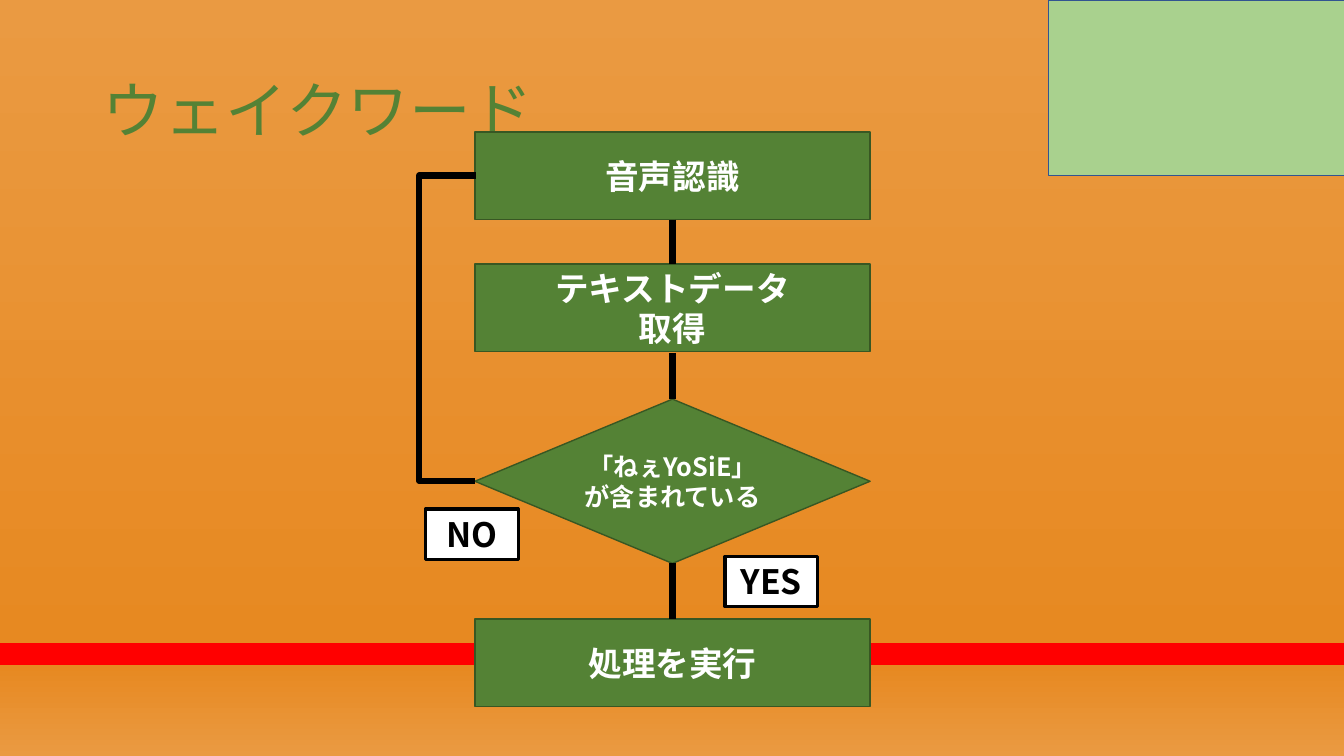
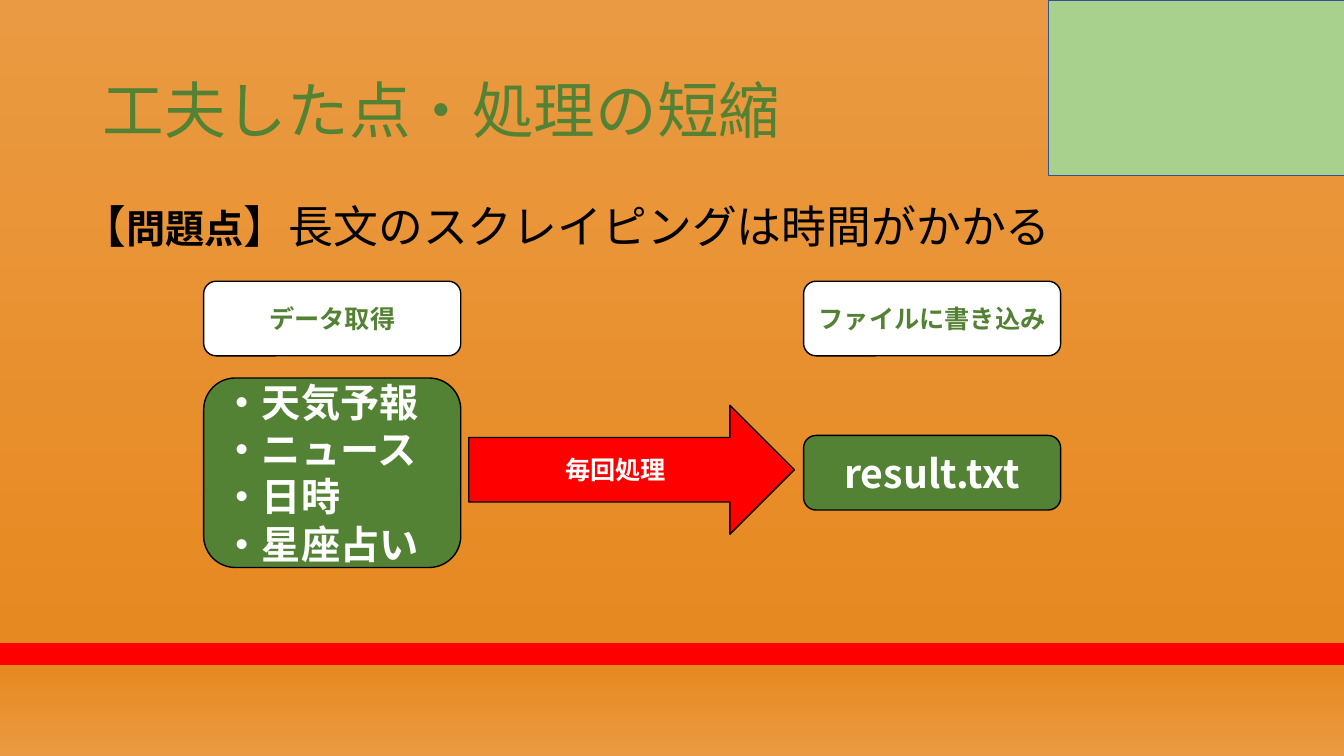
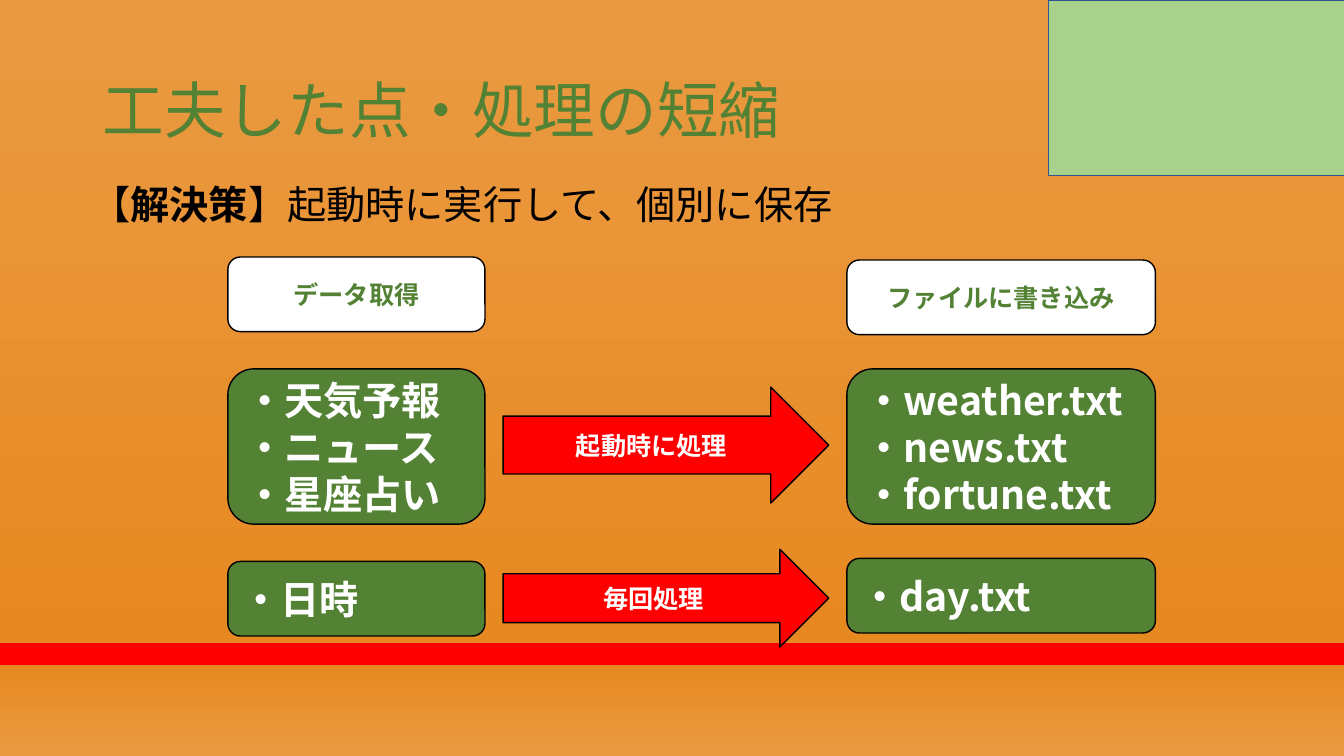
from dataclasses import dataclass
from typing import Optional

from lxml import etree
from pptx import Presentation
from pptx.dml.color import RGBColor
from pptx.enum.shapes import MSO_CONNECTOR, MSO_SHAPE
from pptx.enum.text import MSO_ANCHOR, MSO_AUTO_SIZE, PP_ALIGN
from pptx.oxml.ns import qn
from pptx.util import Inches, Pt

RECT, ROUND = MSO_SHAPE.RECTANGLE, MSO_SHAPE.ROUNDED_RECTANGLE
STEP, TEST = MSO_SHAPE.FLOWCHART_PROCESS, MSO_SHAPE.FLOWCHART_DECISION
ARROW = MSO_SHAPE.RIGHT_ARROW
LINE, ELBOW = MSO_CONNECTOR.STRAIGHT, MSO_CONNECTOR.ELBOW
LEFT, MID = PP_ALIGN.LEFT, PP_ALIGN.CENTER
TOP, CENTER = MSO_ANCHOR.TOP, MSO_ANCHOR.MIDDLE
GROW = MSO_AUTO_SIZE.SHAPE_TO_FIT_TEXT

FONT = "Noto Sans CJK JP"
HEX = {
    "green": "548235", "dark": "385723", "pale": "A9D18E", "blue": "325491",
    "red": "FF0000", "white": "FFFFFF", "black": "000000",
    "light": "EA9A42", "deep": "E78921",
}
# Backdrop stops: percent down the page, colour
STOPS = [(0, "light"), (85, "deep"), (85, "red"), (88, "red"), (88, "deep"), (100, "light")]


@dataclass(frozen=True)
class Look:
    kind: int
    fill: str
    edge: str
    ink: str = "white"
    size: int = 18
    weight: float = 1
    align: int = MID
    grow: bool = False


@dataclass(frozen=True)
class Box:
    look: Look
    x: float
    y: float
    w: float
    h: float
    text: tuple[str, ...] = ()


@dataclass(frozen=True)
class Part:
    text: str
    size: int
    bold: bool = False


PANEL = Look(RECT, "pale", "blue")
STAGE = Look(STEP, "green", "dark", size=24)
CHECK = Look(TEST, "green", "dark")
TAG = Look(RECT, "white", "black", "black", 24, 2.25, grow=True)
HEAD = Look(ROUND, "white", "black", "green")
LIST = Look(ROUND, "green", "black", size=28, align=LEFT)
FILE = Look(ROUND, "green", "black", size=28)
FLOW = Look(ARROW, "red", "black")


def rgb(name: str) -> RGBColor:
    return RGBColor.from_string(HEX[name])


def add_run(para, text: str, size: int, ink: str, bold: bool = False):
    run = para.add_run()
    run.text = text
    run.font.size, run.font.bold, run.font.name = Pt(size), bold, FONT
    run.font.color.rgb = rgb(ink)
    etree.SubElement(run.font._element, qn("a:ea"), typeface=FONT)
    return run


def add_box(slide, box: Box) -> None:
    look = box.look
    shape = slide.shapes.add_shape(
        look.kind, Inches(box.x), Inches(box.y), Inches(box.w), Inches(box.h))
    shape.shadow.inherit = False
    shape.fill.solid()
    shape.fill.fore_color.rgb = rgb(look.fill)
    shape.line.color.rgb = rgb(look.edge)
    shape.line.width = Pt(look.weight)
    frame = shape.text_frame
    frame.word_wrap = True
    frame.vertical_anchor = TOP if look.grow else CENTER
    if look.grow:
        frame.auto_size = GROW
    for i, text in enumerate(box.text):
        para = frame.add_paragraph() if i else frame.paragraphs[0]
        para.alignment = look.align
        add_run(para, text, look.size, look.ink, True)


def add_link(slide, kind: int, x1: float, y1: float, x2: float, y2: float,
             bend: Optional[float] = None) -> None:
    link = slide.shapes.add_connector(kind, Inches(x1), Inches(y1), Inches(x2), Inches(y2))
    link.line.color.rgb = rgb("black")
    link.line.width = Pt(4.5)
    props = link._element.spPr
    etree.SubElement(props, qn("a:effectLst"))
    if bend is not None:
        # Bend is the x of the upright leg, stored as a share of the width
        share = round((bend - x1) / (x2 - x1) * 100000)
        guides = props.find(qn("a:prstGeom")).get_or_add_avLst()
        etree.SubElement(guides, qn("a:gd"), name="adj1", fmla=f"val {share}")


def add_title(slide, text: str) -> None:
    frame = slide.shapes.add_textbox(
        Inches(0.92), Inches(0.4), Inches(11.5), Inches(1.45)).text_frame
    frame.word_wrap = True
    frame.vertical_anchor = CENTER
    para = frame.paragraphs[0]
    para.line_spacing = 0.9
    run = add_run(para, text, 44, "green")
    edge = etree.Element(qn("a:ln"), w=str(Pt(0.75)))
    fill = etree.SubElement(edge, qn("a:solidFill"))
    etree.SubElement(fill, qn("a:srgbClr"), val=HEX["black"])
    run.font._element.insert(0, edge)


def add_lead(slide, x: float, y: float, w: float, h: float, parts: list[Part]) -> None:
    frame = slide.shapes.add_textbox(Inches(x), Inches(y), Inches(w), Inches(h)).text_frame
    frame.word_wrap = False
    frame.auto_size = GROW
    for part in parts:
        add_run(frame.paragraphs[0], part.text, part.size, "black", part.bold)


def set_back(deck) -> None:
    master = deck.slide_master
    fill = master.background.fill
    fill.gradient()
    fill.gradient_angle = 270
    stops = master._element.find(".//" + qn("a:gsLst"))
    for old in list(stops):
        stops.remove(old)
    for pos, name in STOPS:
        stop = etree.SubElement(stops, qn("a:gs"), pos=str(pos * 1000))
        etree.SubElement(stop, qn("a:srgbClr"), val=HEX[name])


def add_page(deck, title: str, boxes: list[Box]):
    slide = deck.slides.add_slide(deck.slide_layouts[6])
    add_title(slide, title)
    for box in [Box(PANEL, 10.4, 0, 2.94, 1.74), *boxes]:
        add_box(slide, box)
    return slide


def wake_page(deck) -> None:
    x, w, h = 4.71, 3.92, 0.87
    slide = add_page(deck, "ウェイクワード", [
        Box(STAGE, x, 1.31, w, h, ("音声認識",)),
        Box(STAGE, x, 2.62, w, h, ("テキストデータ", "取得")),
        Box(CHECK, x, 3.96, w, 1.63, ("「ねぇYoSiE」", "が含まれている")),
        Box(STAGE, x, 6.14, w, h, ("処理を実行",)),
    ])
    # Links between the steps, then the way back
    mid = x + w / 2
    for y1, y2 in [(2.18, 2.62), (3.5, 3.96), (5.59, 6.14)]:
        add_link(slide, LINE, mid, y1, mid, y2)
    add_link(slide, ELBOW, 4.72, 1.74, x, 4.77, 4.15)
    add_box(slide, Box(TAG, 7.19, 5.52, 0.92, 0.5, ("YES",)))
    add_box(slide, Box(TAG, 4.22, 5.05, 0.92, 0.5, ("NO",)))


def issue_page(deck, title: str) -> None:
    x1, x2, w, h = 2.02, 7.97, 2.55, 0.74
    slide = add_page(deck, title, [
        Box(HEAD, x1, 2.79, w, h, ("データ取得",)),
        Box(HEAD, x2, 2.79, w, h, ("ファイルに書き込み",)),
        Box(LIST, x1, 3.75, w, 1.88, ("・天気予報", "・ニュース", "・日時", "・星座占い")),
        Box(FLOW, 4.65, 4.02, 3.23, 1.28, ("毎回処理",)),
        Box(FILE, x2, 4.32, w, h, ("result.txt",)),
    ])
    add_lead(slide, 0.71, 1.92, 10.08, 0.64, [
        Part("【", 32), Part("問題点", 28, True),
        Part("】長文のスクレイピングは時間がかかる", 32)])


def fix_page(deck, title: str) -> None:
    x1, x2, x3 = 2.26, 4.99, 8.4
    w1, w2, w3, h, tall = 2.55, 3.23, 3.06, 0.74, 1.54
    slide = add_page(deck, title, [
        Box(HEAD, x1, 2.55, w1, h, ("データ取得",)),
        Box(HEAD, x3, 2.58, w3, h, ("ファイルに書き込み",)),
        # Run once at start
        Box(LIST, x1, 3.66, w1, tall, ("・天気予報", "・ニュース", "・星座占い")),
        Box(FLOW, x2, 3.84, w2, 1.15, ("起動時に処理",)),
        Box(LIST, x3, 3.66, w3, tall, ("・weather.txt", "・news.txt", "・fortune.txt")),
        # Run each time
        Box(LIST, x1, 5.57, w1, h, ("・日時",)),
        Box(FLOW, x2, 5.45, w2, 0.97, ("毎回処理",)),
        Box(LIST, x3, 5.54, w3, h, ("・day.txt",)),
    ])
    add_lead(slide, 0.81, 1.74, 7.66, 0.57, [
        Part("【", 28), Part("解決策", 28, True),
        Part("】起動時に実行して、個別に保存", 28)])


def main() -> None:
    deck = Presentation()
    deck.slide_width, deck.slide_height = Inches(13.33), Inches(7.5)
    set_back(deck)
    wake_page(deck)
    title = "工夫した点・処理の短縮"
    issue_page(deck, title)
    fix_page(deck, title)
    deck.save("out.pptx")


if __name__ == "__main__":
    main()
